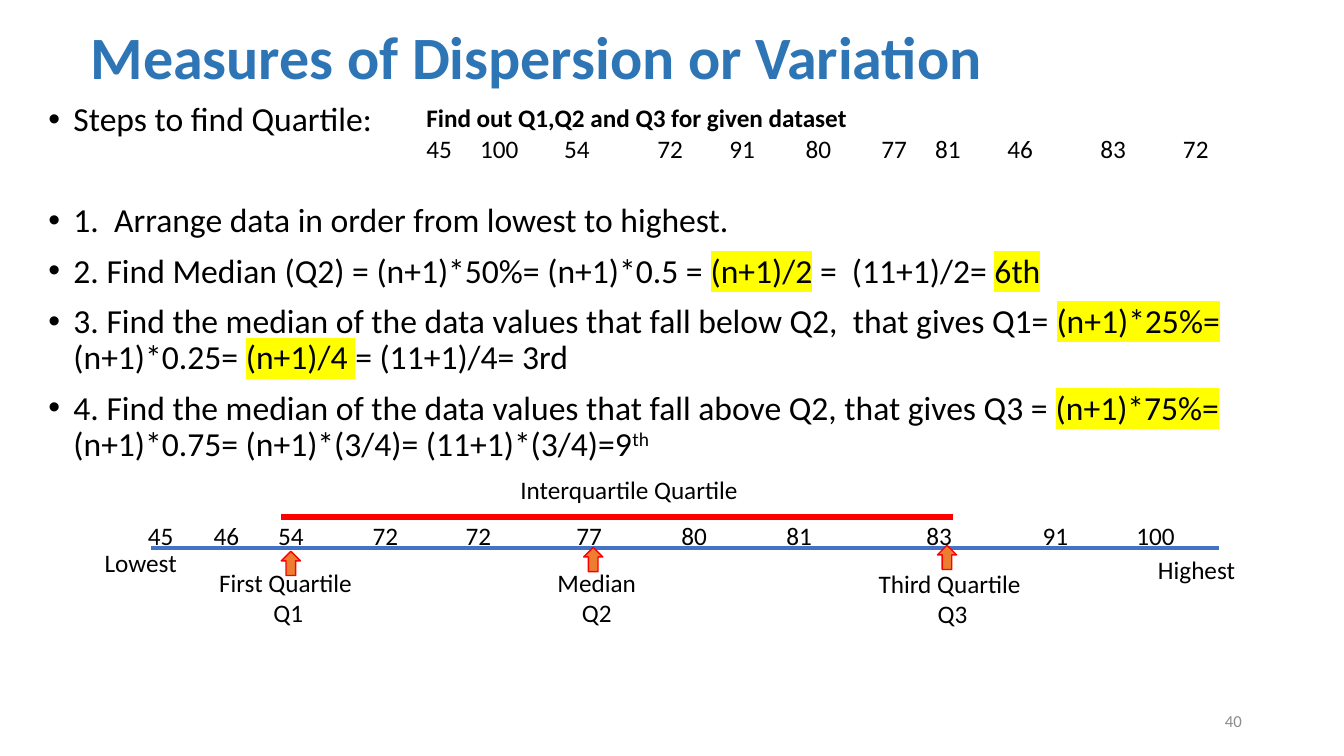
from lxml.etree import SubElement
from pptx import Presentation
from pptx.dml.color import RGBColor
from pptx.enum.shapes import MSO_CONNECTOR, MSO_SHAPE
from pptx.enum.text import MSO_ANCHOR, MSO_AUTO_SIZE, PP_ALIGN
from pptx.oxml import parse_xml
from pptx.oxml.ns import nsdecls, qn
from pptx.util import Pt

BLACK, BLUE, GREY, RED, YELLOW = "000000", "2E75B6", "8C8C8C", "FF0000", "FFFF00"
AXIS_BLUE, ORANGE = "4472C4", "ED7D31"
CENTER = {"alignment": PP_ALIGN.CENTER}

STEPS = [
    [("Steps to find Quartile:", None)],
    [("1.  Arrange data in order from lowest to highest.", None)],
    [("2. Find Median (Q2) = (n+1)*50%= (n+1)*0.5 = ", None), ("(n+1)/2", "mark"),
     (" =  (11+1)/2= ", None), ("6th", "mark")],
    [("3. Find the median of the data values that fall below Q2,  that gives Q1= ", None),
     ("(n+1)*25%= ", "mark"), ("(n+1)*0.25= ", None), ("(n+1)/4 ", "mark"),
     ("= (11+1)/4= 3rd", None)],
    [("4. Find the median of the data values that fall above Q2, that gives Q3 = ", None),
     ("(n+1)*75%= ", "mark"), ("(n+1)*0.75= (n+1)*(3/4)= (11+1)*(3/4)=9", None),
     ("th", "super")],
]
STEP_GAPS = [0, 46.4, 10, 10, 10]

DATASET = [45, 100, 54, 72, 91, 80, 77, 81, 46, 83, 72]
DATASET_STOPS = [38.5, 98.5, 165, 216.5, 271, 325, 363.5, 415, 481.5, 540.5]
ORDERED_STOPS = [47, 93, 160.5, 227, 306, 381, 456, 556, 639, 706]

QUARTILES = [
    (["First Quartile ", "Q1"], (74.9, 66.3), (133.2, 58.3)),
    (["Median", "Q2"], (295.2, 66.3), (349.2, 55.5)),
    (["Third Quartile ", "Q3"], (549.3, 67), (601.9, 54)),
]


def color(hex_code):
    """Turn a hex string into a colour."""
    return RGBColor.from_string(hex_code)


def apply(target, formats):
    """Set every attribute in the format dict."""
    for key, value in formats.items():
        setattr(target, key, value)


def add_run(paragraph, text, size=18, hex_code=BLACK, bold=False):
    """Append one formatted run."""
    run = paragraph.add_run()
    run.text = text
    apply(run.font, {"size": Pt(size), "bold": bold, "name": "Calibri"})
    run.font.color.rgb = color(hex_code)
    return run


def highlight(run):
    """Mark a run in yellow."""
    marker = parse_xml(f'<a:highlight {nsdecls("a")}><a:srgbClr val="{YELLOW}"/></a:highlight>')
    run.font._element.find(qn("a:solidFill")).addnext(marker)


def add_bullet(paragraph):
    """Give a paragraph a hanging bullet."""
    properties = paragraph._p.get_or_add_pPr()
    properties.set("marL", str(Pt(18)))
    properties.set("indent", str(-Pt(18)))
    SubElement(properties, qn("a:buFont"), typeface="Arial")
    SubElement(properties, qn("a:buChar"), char="•")


def add_values(paragraph, values, stops):
    """Write a row of values on tab stops."""
    tabs = SubElement(paragraph._p.get_or_add_pPr(), qn("a:tabLst"))
    for stop in stops:
        SubElement(tabs, qn("a:tab"), pos=str(Pt(stop)), algn="l")
    add_run(paragraph, "\t".join(map(str, values)))


def add_frame(slide, left, top, width, height):
    """Add a wrapping text box and return its text frame."""
    frame = slide.shapes.add_textbox(Pt(left), Pt(top), Pt(width), Pt(height)).text_frame
    frame.word_wrap = True
    return frame


def add_label(slide, left, top, width, height, lines, paragraph_format):
    """Place a label with one paragraph per line."""
    frame = add_frame(slide, left, top, width, height)
    for index, line in enumerate(lines):
        paragraph = frame.add_paragraph() if index else frame.paragraphs[0]
        apply(paragraph, paragraph_format)
        add_run(paragraph, line)


def add_rule(slide, left, right, y, hex_code, weight):
    """Draw a horizontal line."""
    rule = slide.shapes.add_connector(MSO_CONNECTOR.STRAIGHT, Pt(left), Pt(y), Pt(right), Pt(y))
    rule.line.color.rgb = color(hex_code)
    rule.line.width = Pt(weight)
    SubElement(rule._element.spPr, qn("a:effectLst"))


def add_marker(slide, left, top):
    """Draw an arrow that points up at a quartile."""
    marker = slide.shapes.add_shape(MSO_SHAPE.UP_ARROW, Pt(left), Pt(top), Pt(13.7), Pt(17.3))
    marker.shadow.inherit = False
    marker.fill.solid()
    marker.fill.fore_color.rgb = color(ORANGE)
    marker.line.color.rgb = color(RED)
    marker.line.width = Pt(1)


def add_heading(slide, left, top, width, height):
    """Place and format the title."""
    title = slide.shapes.title
    apply(title, {"left": Pt(left), "top": Pt(top), "width": Pt(width), "height": Pt(height)})
    apply(title.text_frame, {"word_wrap": True, "auto_size": MSO_AUTO_SIZE.NONE,
                             "vertical_anchor": MSO_ANCHOR.MIDDLE})
    paragraph = title.text_frame.paragraphs[0]
    apply(paragraph, {"alignment": PP_ALIGN.LEFT, "line_spacing": 0.8})
    add_run(paragraph, "Measures of Dispersion or Variation", 42.9, BLUE, True)


def add_steps(slide, left, top, width, height):
    """List the steps that lead to the quartiles."""
    frame = add_frame(slide, left, top, width, height)
    for index, (step, gap) in enumerate(zip(STEPS, STEP_GAPS)):
        paragraph = frame.add_paragraph() if index else frame.paragraphs[0]
        apply(paragraph, {"line_spacing": 0.9, "space_before": Pt(gap)})
        add_bullet(paragraph)
        for text, style in step:
            run = add_run(paragraph, text, 24)
            if style == "mark":
                highlight(run)
            elif style == "super":
                run.font._element.set("baseline", "30000")


def add_dataset(slide, left, top, width, height):
    """Show the exercise and its unsorted data."""
    frame = add_frame(slide, left, top, width, height)
    add_run(frame.paragraphs[0], "Find out Q1,Q2 and Q3 for given dataset", bold=True)
    add_values(frame.add_paragraph(), DATASET, DATASET_STOPS)


def add_number_line(slide, left, top, width):
    """Draw the sorted data with its quartiles and range."""
    end_width, label_width, line_height = 74.2, 126.7, 29
    add_rule(slide, left + 40.3, left + 802.8, top + 56.2, AXIS_BLUE, 3)
    add_label(slide, left, top + 51.9, end_width, line_height, ["Lowest"], {})
    add_label(slide, left + width - end_width, top + 56.9, end_width, line_height, ["Highest"], {})
    add_label(slide, left + 295.2, top, 172.8, line_height, ["Interquartile Quartile "], CENTER)
    add_rule(slide, left + 133.2, left + 612.7, top + 33.9, RED, 4.5)
    values = add_frame(slide, left + 30.9, top + 32.4, 789.1, line_height)
    add_values(values.paragraphs[0], sorted(DATASET), ORDERED_STOPS)
    for lines, (label_x, label_y), (marker_x, marker_y) in QUARTILES:
        add_label(slide, left + label_x, top + label_y, label_width, 51, lines, CENTER)
        add_marker(slide, left + marker_x, top + marker_y)


def add_page_number(slide, left, top, width, height):
    """Place the page number."""
    frame = add_frame(slide, left, top, width, height)
    frame.vertical_anchor = MSO_ANCHOR.MIDDLE
    frame.paragraphs[0].alignment = PP_ALIGN.RIGHT
    add_run(frame.paragraphs[0], "40", 12, GREY)


def main():
    """Build the slide and save it."""
    deck = Presentation()
    apply(deck, {"slide_width": Pt(960), "slide_height": Pt(540)})
    slide = deck.slides.add_slide(deck.slide_layouts[5])
    add_heading(slide, 57.6, 19.4, 687.6, 50.4)
    add_steps(slide, 27.4, 69.8, 890.6, 434.2)
    add_dataset(slide, 297.4, 69.8, 605.5, 51)
    add_number_line(slide, 67.7, 335.5, 826.6)
    add_page_number(slide, 678.2, 500.4, 216, 28.8)
    deck.save("out.pptx")


if __name__ == "__main__":
    main()
